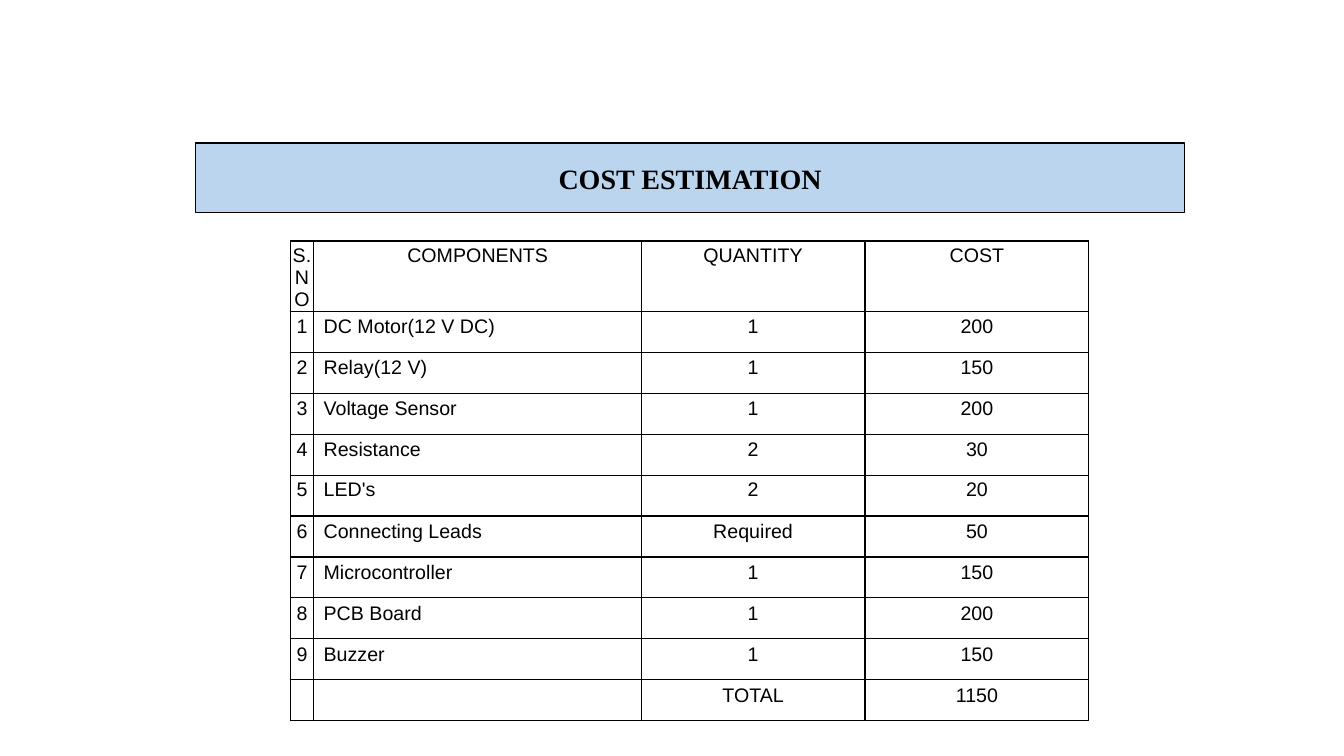
"""Build the cost estimation slide: a title bar above a table of parts."""
from lxml.etree import SubElement as Sub
from pptx import Presentation
from pptx.dml.color import RGBColor
from pptx.enum.shapes import MSO_SHAPE as Shape
from pptx.enum.text import MSO_ANCHOR as Anchor, PP_ALIGN as Align
from pptx.oxml.ns import qn
from pptx.util import Inches, Pt

BLACK = RGBColor(0, 0, 0)
BLUE = RGBColor(0xBA, 0xD5, 0xED)
HEAD = 0.7
WIDTHS = [0.23, 3.25, 2.22, 2.22]
ROWS = [
    ("S.NO", "COMPONENTS", "QUANTITY", "COST"),
    ("1", "DC Motor(12 V DC)", "1", "200"),
    ("2", "Relay(12 V)", "1", "150"),
    ("3", "Voltage Sensor", "1", "200"),
    ("4", "Resistance", "2", "30"),
    ("5", "LED's", "2", "20"),
    ("6", "Connecting Leads", "Required", "50"),
    ("7", "Microcontroller", "1", "150"),
    ("8", "PCB Board", "1", "200"),
    ("9", "Buzzer", "1", "150"),
    ("", "", "TOTAL", "1150"),
]


def write(par, text, font, size, bold=False):
    run = par.add_run()
    run.text = text
    run.font.name = font
    run.font.size = Pt(size)
    run.font.bold = bold
    run.font.color.rgb = BLACK


def border(cell):
    props = cell._tc.get_or_add_tcPr()
    for n, side in enumerate(("lnL", "lnR", "lnT", "lnB")):
        line = props.makeelement(qn("a:" + side), {"w": str(Pt(1))})
        fill = Sub(line, qn("a:solidFill"))
        Sub(fill, qn("a:srgbClr"), val=str(BLACK))
        props.insert(n, line)


deck = Presentation()
deck.slide_width = Inches(13.33)
deck.slide_height = Inches(7.5)
slide = deck.slides.add_slide(deck.slide_layouts[6])

high = 4.76
frame = slide.shapes.add_table(len(ROWS), len(WIDTHS), Inches(2.88),
                               Inches(2.39), Inches(sum(WIDTHS)), Inches(high))
table = frame.table
table.first_row = False
table.horz_banding = False
for col, width in zip(table.columns, WIDTHS):
    col.width = Inches(width)
for row in table.rows:
    row.height = Inches((high - HEAD) / (len(ROWS) - 1))
table.rows[0].height = Inches(HEAD)

for r, row in enumerate(ROWS):
    for c, text in enumerate(row):
        cell = table.cell(r, c)
        cell.fill.background()
        border(cell)
        cell.margin_left = cell.margin_right = cell.margin_bottom = 0
        cell.margin_top = Inches(0.04 if r < 6 else 0.05)
        par = cell.text_frame.paragraphs[0]
        par.space_before = Pt(3.2)
        par.font.size = Pt(14)
        if c == 1:
            indent = Inches(0.1 if r else 0.93)
            par._p.get_or_add_pPr().set("marL", str(indent))
        else:
            par.alignment = Align.CENTER
        if text:
            write(par, text, "Arial", 14)

bar = slide.shapes.add_shape(Shape.RECTANGLE, Inches(1.94), Inches(1.42),
                             Inches(9.81), Inches(0.69))
bar.shadow.inherit = False
bar.fill.solid()
bar.fill.fore_color.rgb = BLUE
bar.line.color.rgb = BLACK
bar.line.width = Pt(1)
body = bar.text_frame
body.word_wrap = True
body.vertical_anchor = Anchor.MIDDLE
body.margin_left = body.margin_right = body.margin_top = body.margin_bottom = 0
body.paragraphs[0].alignment = Align.CENTER
write(body.paragraphs[0], "COST ESTIMATION", "Times New Roman", 20, True)

deck.save("out.pptx")
